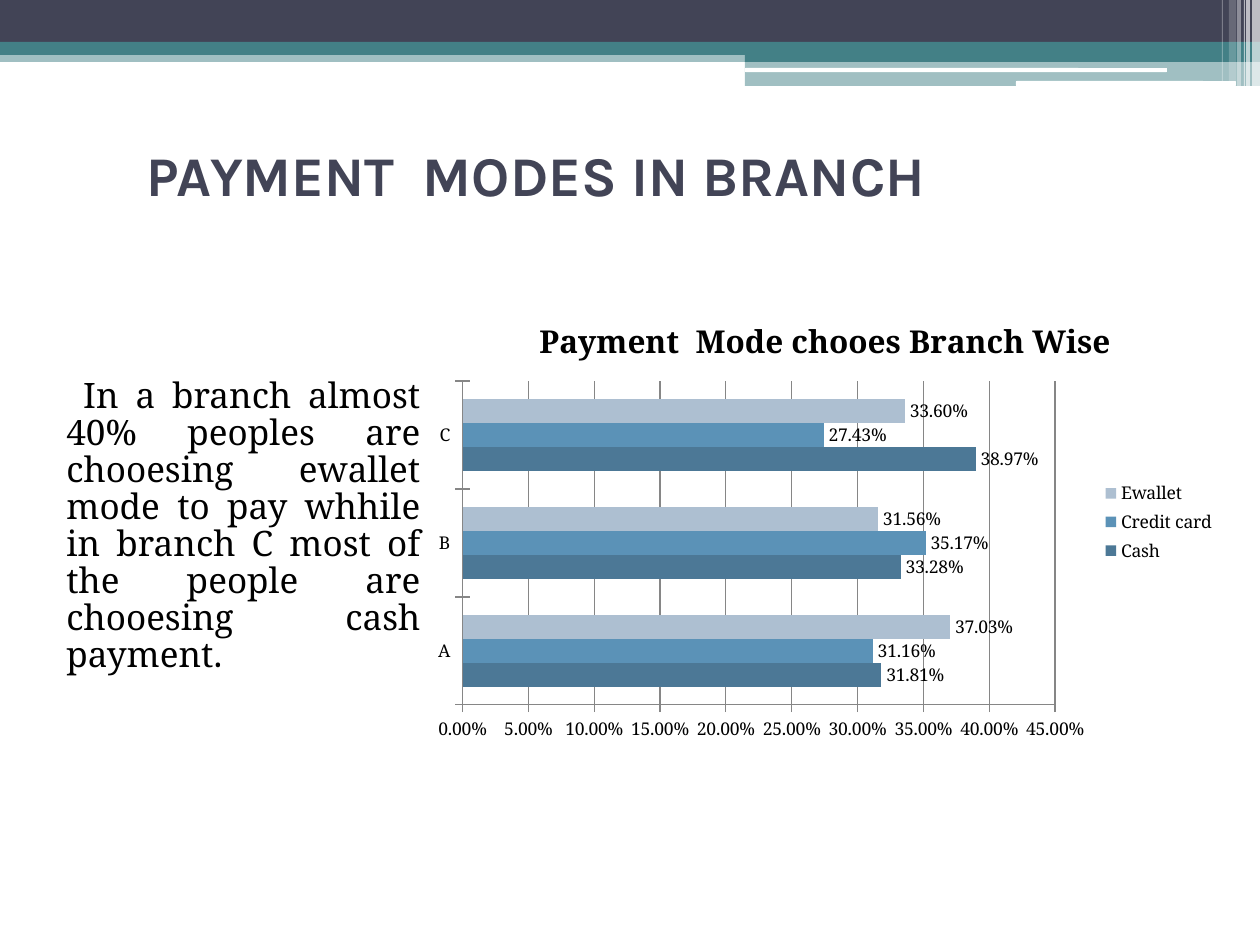
from lxml import etree
from pptx import Presentation
from pptx.chart.data import CategoryChartData
from pptx.dml.color import RGBColor
from pptx.enum.chart import (XL_CHART_TYPE, XL_LABEL_POSITION,
                             XL_LEGEND_POSITION, XL_TICK_MARK)
from pptx.enum.shapes import MSO_SHAPE
from pptx.enum.text import MSO_ANCHOR, PP_ALIGN
from pptx.oxml.ns import qn
from pptx.util import Pt

BARS = XL_CHART_TYPE.BAR_CLUSTERED
OUTER = XL_LABEL_POSITION.OUTSIDE_END
RIGHT = XL_LEGEND_POSITION.RIGHT
CROSS = XL_TICK_MARK.CROSS
RECT, ROUND = MSO_SHAPE.RECTANGLE, MSO_SHAPE.ROUNDED_RECTANGLE
TOP, BOTTOM = MSO_ANCHOR.TOP, MSO_ANCHOR.BOTTOM
LEFT, JUST = PP_ALIGN.LEFT, PP_ALIGN.JUSTIFY

SCALE = 914400 / 126
SANS, SERIF = "Karla", "Noto Serif"
DARK, TEAL, WHITE, BLACK, GRAY = "424456", "438086", "FFFFFF", "000000", "868686"
PERCENT = "0.00%"
SERIES = [
    ("Cash", (0.3181, 0.3328, 0.3897), "4C7896"),
    ("Credit card", (0.3116, 0.3517, 0.2743), "5B92B7"),
    ("Ewallet", (0.3703, 0.3156, 0.3360), "ADBFD1"),
]


def emu(*sizes):
    """Turn pixels into EMU."""
    return [round(size * SCALE) for size in sizes]


def color(code):
    """Turn a hex string into a colour."""
    return RGBColor.from_string(code)


def paint(fill, code, alpha=100):
    """Set a solid fill with an opacity in percent."""
    fill.solid()
    fill.fore_color.rgb = color(code)
    if alpha < 100:
        node = fill._xPr.find(qn("a:solidFill"))[0]
        etree.SubElement(node, qn("a:alpha")).set("val", str(alpha * 1000))


def style(font, name, size, code=BLACK, bold=False):
    """Set the look of a font."""
    font.name, font.size, font.bold = name, Pt(size), bold
    font.color.rgb = color(code)


def add_bar(slide, box, code, alpha=100, kind=RECT):
    """Add a plain bar without outline or shadow."""
    bar = slide.shapes.add_shape(kind, *emu(*box))
    bar.shadow.inherit = False
    paint(bar.fill, code, alpha)
    bar.line.fill.background()


def add_band(slide, box):
    """Add the header band with its steps and stripes."""
    x, y, w, h = box
    step, end = x + 745, x + w
    add_bar(slide, (x, y + 50, w, 12), TEAL, 50)
    add_bar(slide, (x, y, w, 42), DARK)
    add_bar(slide, (x, y + 42, w, 13), TEAL)
    add_bar(slide, (step, y + 49, end - step, 13), TEAL)
    add_bar(slide, (step, y + 61, end - step, h - 61), TEAL, 50)
    add_bar(slide, (step, y + 68, 422, 4), WHITE, kind=ROUND)
    add_bar(slide, (x + 1016, y + 81, 220, 5), WHITE, kind=ROUND)
    stripes = [(8, 8, h, 65), (14, 4, h, 65), (16, 1, h, 60),
               (23, 4, h, 40), (31, 7, 81, 20), (38, 1, 81, 30)]
    for back, wide, high, alpha in stripes:
        add_bar(slide, (end - back, y, wide, high), WHITE, alpha)


def add_text(slide, box, text, look, anchor=TOP, align=LEFT):
    """Add a wrapped text box with one paragraph, and return the paragraph."""
    frame = slide.shapes.add_textbox(*emu(*box)).text_frame
    frame.word_wrap = True
    frame.vertical_anchor = anchor
    para = frame.paragraphs[0]
    para.alignment = align
    run = para.add_run()
    run.text = text
    style(run.font, *look)
    return para


def add_note(slide, box):
    """Add the justified comment beside the chart."""
    para = add_text(
        slide, box,
        " In a branch almost 40% peoples are chooesing  ewallet mode to pay "
        "whhile in branch C most of the people are chooesing cash payment.",
        (SERIF, 20), align=JUST)
    para.space_before = Pt(3)
    para.line_spacing = 0.88


def add_modes(slide, box):
    """Add the bar chart of payment modes by branch."""
    data = CategoryChartData(number_format=PERCENT)
    data.categories = ["A", "B", "C"]
    for name, vals, _ in SERIES:
        data.add_series(name, vals)
    chart = slide.shapes.add_chart(BARS, *emu(*box), data).chart
    style(chart.font, SERIF, 10)

    run = chart.chart_title.text_frame.paragraphs[0].add_run()
    run.text = "Payment  Mode chooes Branch Wise"
    style(run.font, SERIF, 18, bold=True)
    chart.chart_title.include_in_layout = False
    chart.has_legend = True
    chart.legend.position = RIGHT
    chart.legend.include_in_layout = False

    plot = chart.plots[0]
    plot.gap_width, plot.overlap = 150, 0
    plot.vary_by_categories = False
    for series, (_, _, code) in zip(plot.series, SERIES):
        paint(series.format.fill, code)
        labels = series.data_labels
        labels.show_value = True
        labels.number_format = PERCENT
        labels.number_format_is_linked = False
        labels.position = OUTER

    axis = chart.value_axis
    axis.minimum_scale, axis.maximum_scale, axis.major_unit = 0, 0.45, 0.05
    axis.tick_labels.number_format = PERCENT
    axis.tick_labels.number_format_is_linked = False
    axis.has_major_gridlines = True
    lines = [axis.major_gridlines.format.line]
    for each in (axis, chart.category_axis):
        each.major_tick_mark = CROSS
        lines.append(each.format.line)
    for line in lines:
        line.color.rgb = color(GRAY)
        line.width = Pt(0.75)


def build():
    """Build and save the slide."""
    deck = Presentation()
    deck.slide_width, deck.slide_height = emu(1260, 945)
    slide = deck.slides.add_slide(deck.slide_layouts[6])
    add_band(slide, (0, 0, 1260, 86))
    add_text(slide, (134, 66, 863, 148), "PAYMENT  MODES IN BRANCH",
             (SANS, 32, DARK, True), BOTTOM)
    add_note(slide, (54, 373, 379, 126))
    add_modes(slide, (422, 294, 806, 456))
    deck.save("out.pptx")


build()
